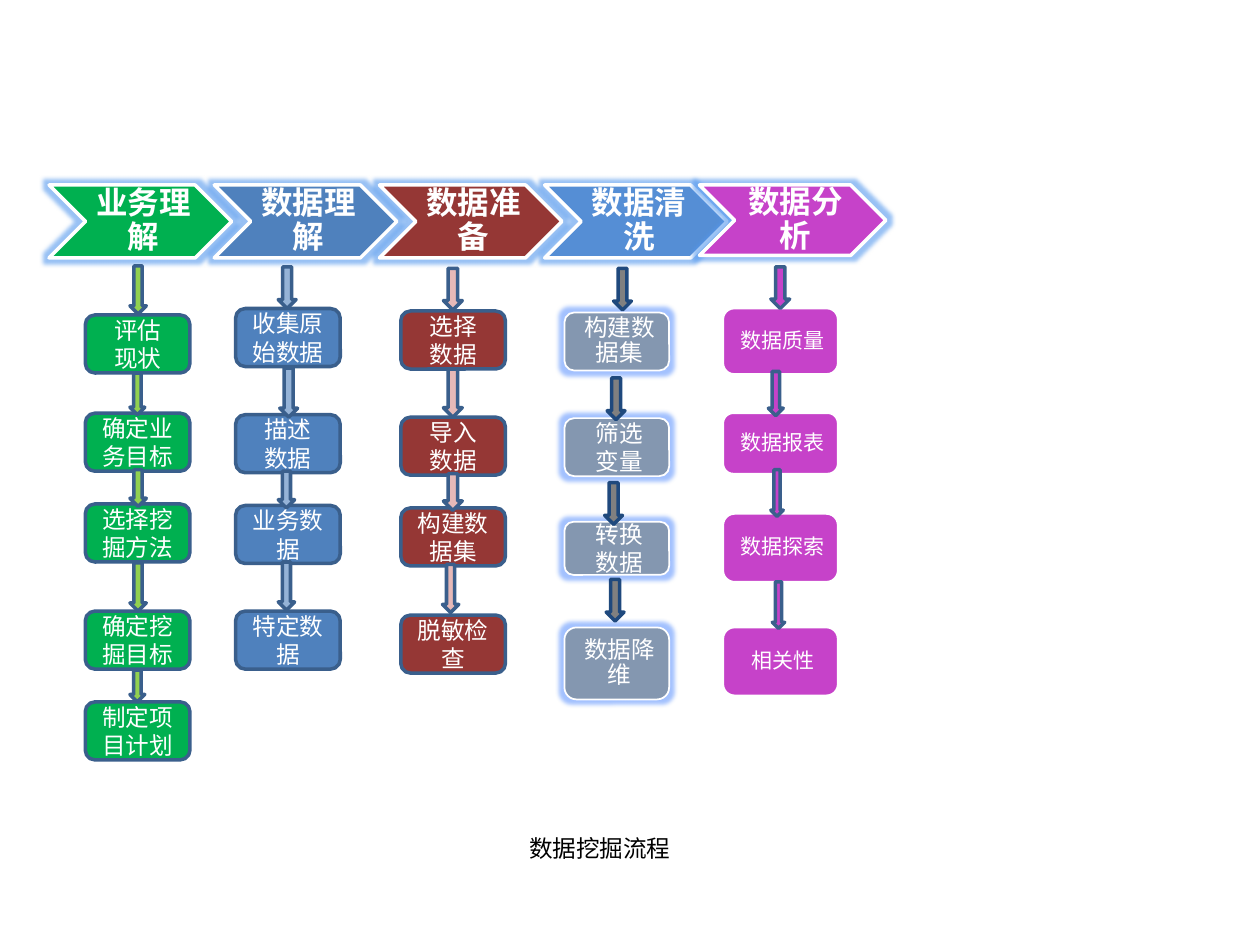
from dataclasses import dataclass
from typing import NamedTuple

from lxml import etree
from pptx import Presentation
from pptx.dml.color import RGBColor
from pptx.enum.shapes import MSO_SHAPE
from pptx.enum.text import MSO_ANCHOR, MSO_AUTO_SIZE, PP_ALIGN
from pptx.oxml.ns import qn
from pptx.util import Cm, Pt

CHEVRON = MSO_SHAPE.CHEVRON
ROUND_BOX = MSO_SHAPE.ROUNDED_RECTANGLE
DOWN_ARROW = MSO_SHAPE.DOWN_ARROW
MIDDLE, TOP = MSO_ANCHOR.MIDDLE, MSO_ANCHOR.TOP
CENTER = PP_ALIGN.CENTER
NO_AUTOFIT = MSO_AUTO_SIZE.NONE

WHITE = RGBColor(0xFF, 0xFF, 0xFF)
BLACK = RGBColor(0x00, 0x00, 0x00)
GREEN = RGBColor(0x00, 0xB0, 0x50)
LIME = RGBColor(0x92, 0xD0, 0x50)
BLUE = RGBColor(0x4F, 0x81, 0xBD)
PALE_BLUE = RGBColor(0x95, 0xB3, 0xD7)
RED = RGBColor(0x95, 0x37, 0x35)
PINK = RGBColor(0xE6, 0xB9, 0xB8)
SKY = RGBColor(0x55, 0x8E, 0xD5)
SLATE = RGBColor(0x84, 0x97, 0xB0)
GRAY = RGBColor(0x80, 0x80, 0x80)
MAGENTA = RGBColor(0xC6, 0x42, 0xC9)
EDGE = RGBColor(0x3A, 0x5F, 0x8C)
NAVY = RGBColor(0x1F, 0x49, 0x7D)
CHEVRON_GLOW = RGBColor(0x55, 0x99, 0xEE)
BOX_GLOW = RGBColor(0x66, 0x99, 0xFF)

LATIN, CJK = "Calibri", "Noto Sans CJK SC"


class Area(NamedTuple):
    """Left, top, width and height in centimetres."""
    left: float
    top: float
    width: float
    height: float


class Step(NamedTuple):
    text: str
    top: float
    height: float
    arrow: Area  # the arrow that leads into the step


@dataclass
class Stage:
    title: str
    chevron_fill: RGBColor
    box_fill: RGBColor
    arrow_fill: RGBColor
    box_left: float
    steps: list[Step]
    title_font: str = CJK
    box_font: str = LATIN
    box_width: float = 2.11
    box_line: RGBColor = EDGE
    box_line_width: float = 2
    arrow_line: RGBColor = EDGE
    insets: tuple = (0.25, 0.13, 0.25, 0.13)
    size: float = 13.5
    spacing: float = 1.0
    glow: bool = False


# Chevrons share one pitch; the last one is placed separately
CHEVRON_AREAS = [Area(0.99 + 3.33 * i, 3.73, 3.68, 1.47) for i in range(4)]
CHEVRON_AREAS.append(Area(14.1, 3.73, 3.76, 1.42))
TIGHT = (0.15, 0.05, 0.05, 0.05)

STAGES = [
    Stage("业务理解", GREEN, GREEN, LIME, 1.72, [
        Step("评估\n现状", 6.35, 1.17, Area(2.62, 5.36, 0.33, 0.97)),
        Step("确定业务目标", 8.33, 1.17, Area(2.62, 7.52, 0.3, 0.84)),
        Step("选择挖掘方法", 10.16, 1.17, Area(2.62, 9.47, 0.33, 0.74)),
        Step("确定挖掘目标", 12.32, 1.17, Area(2.62, 11.35, 0.33, 0.97)),
        Step("制定项目计划", 14.15, 1.17, Area(2.62, 13.51, 0.3, 0.64)),
    ], title_font=LATIN),
    Stage("数据理解", BLUE, BLUE, PALE_BLUE, 4.75, [
        Step("收集原始数据", 6.22, 1.17, Area(5.61, 5.38, 0.36, 0.84)),
        Step("描述\n数据", 8.36, 1.17, Area(5.64, 7.42, 0.36, 0.99)),
        Step("业务数据", 10.19, 1.17, Area(5.61, 9.5, 0.33, 0.74)),
        Step("特定数据", 12.32, 1.17, Area(5.61, 11.33, 0.33, 0.97)),
    ]),
    Stage("数据准备", RED, RED, PINK, 8.08, [
        Step("选择\n数据", 6.27, 1.17, Area(8.94, 5.41, 0.38, 0.84)),
        Step("导入\n数据", 8.41, 1.17, Area(8.94, 7.44, 0.38, 0.97)),
        Step("构建数据集", 10.24, 1.17, Area(8.94, 9.55, 0.38, 0.74)),
        Step("脱敏检查", 12.4, 1.17, Area(8.92, 11.38, 0.33, 0.97)),
    ], insets=(0.18, 0.1, 0.18, 0.1)),
    Stage("数据清洗", SKY, SLATE, GRAY, 11.38, [
        Step("构建数据集", 6.3, 1.17, Area(12.37, 5.41, 0.36, 0.84)),
        Step("筛选\n变量", 8.43, 1.17, Area(12.24, 7.62, 0.36, 0.84)),
        Step("转换\n数据", 10.52, 1.07, Area(12.19, 9.73, 0.36, 0.84)),
        Step("数据降维", 12.65, 1.45, Area(12.22, 11.68, 0.36, 0.84)),
    ], box_font=CJK, box_line=WHITE, box_line_width=1, arrow_line=NAVY,
        insets=TIGHT, spacing=0.9, glow=True),
    Stage("数据分析", MAGENTA, MAGENTA, MAGENTA, 14.58, [
        Step("数据质量", 6.22, 1.32, Area(15.54, 5.38, 0.38, 0.84)),
        Step("数据报表", 8.33, 1.22, Area(15.49, 7.49, 0.3, 0.89)),
        Step("数据探索", 10.36, 1.37, Area(15.54, 9.47, 0.25, 0.94)),
        Step("相关性", 12.65, 1.37, Area(15.57, 11.73, 0.25, 0.94)),
    ], box_font=CJK, box_width=2.31, box_line=WHITE, box_line_width=1,
        insets=TIGHT, size=12, spacing=0.9),
]


def write_text(shape, text: str, *, size: float, font: str,
               color: RGBColor = WHITE, bold: bool = False,
               spacing: float = 1.0, anchor=MIDDLE,
               insets: tuple = (0.25, 0.13, 0.25, 0.13)) -> None:
    frame = shape.text_frame
    frame.word_wrap = True
    frame.auto_size = NO_AUTOFIT
    frame.vertical_anchor = anchor
    (frame.margin_left, frame.margin_top,
     frame.margin_right, frame.margin_bottom) = map(Cm, insets)
    frame.text = text
    for paragraph in frame.paragraphs:
        paragraph.alignment = CENTER
        paragraph.line_spacing = spacing
        for run in paragraph.runs:
            run.font.size = Pt(size)
            run.font.name = font
            run.font.bold = bold
            run.font.color.rgb = color


def add_block(slide, kind, area: Area, fill: RGBColor, line: RGBColor,
              line_width: float = 2):
    shape = slide.shapes.add_shape(kind, *map(Cm, area))
    shape.shadow.inherit = False
    shape.fill.solid()
    shape.fill.fore_color.rgb = fill
    shape.line.color.rgb = line
    shape.line.width = Pt(line_width)
    return shape


def add_glow(shape, color: RGBColor) -> None:
    effects = shape.element.spPr.find(qn("a:effectLst"))
    glow = etree.SubElement(effects, qn("a:glow"), rad=str(Pt(5)))
    tint = etree.SubElement(glow, qn("a:srgbClr"), val=str(color))
    etree.SubElement(tint, qn("a:alpha"), val="60000")


def draw_stage(slide, stage: Stage, area: Area) -> None:
    # Heading
    chevron = add_block(slide, CHEVRON, area, stage.chevron_fill, WHITE)
    add_glow(chevron, CHEVRON_GLOW)
    write_text(chevron, stage.title, size=18, font=stage.title_font, bold=True,
               spacing=0.9, insets=(0.2, 0.08, 0.08, 0.08))
    # Steps
    for step in stage.steps:
        box = add_block(slide, ROUND_BOX,
                        Area(stage.box_left, step.top, stage.box_width, step.height),
                        stage.box_fill, stage.box_line, stage.box_line_width)
        if stage.glow:
            add_glow(box, BOX_GLOW)
        write_text(box, step.text, size=stage.size, font=stage.box_font,
                   spacing=1.0 if "\n" in step.text else stage.spacing,
                   insets=stage.insets)
    # Arrows lie over the boxes
    for step in stage.steps:
        add_block(slide, DOWN_ARROW, step.arrow, stage.arrow_fill, stage.arrow_line)


def main() -> None:
    presentation = Presentation()
    presentation.slide_width, presentation.slide_height = Cm(25.4), Cm(19.05)
    slide = presentation.slides.add_slide(presentation.slide_layouts[5])

    for stage, area in zip(STAGES, CHEVRON_AREAS):
        draw_stage(slide, stage, area)

    # Title below the diagram
    title = slide.shapes.title
    title.left, title.top, title.width, title.height = map(
        Cm, Area(5.26, 16.69, 13.67, 0.84))
    write_text(title, "数据挖掘流程", size=13.5, font=LATIN, color=BLACK, anchor=TOP)

    presentation.save("out.pptx")


if __name__ == "__main__":
    main()
